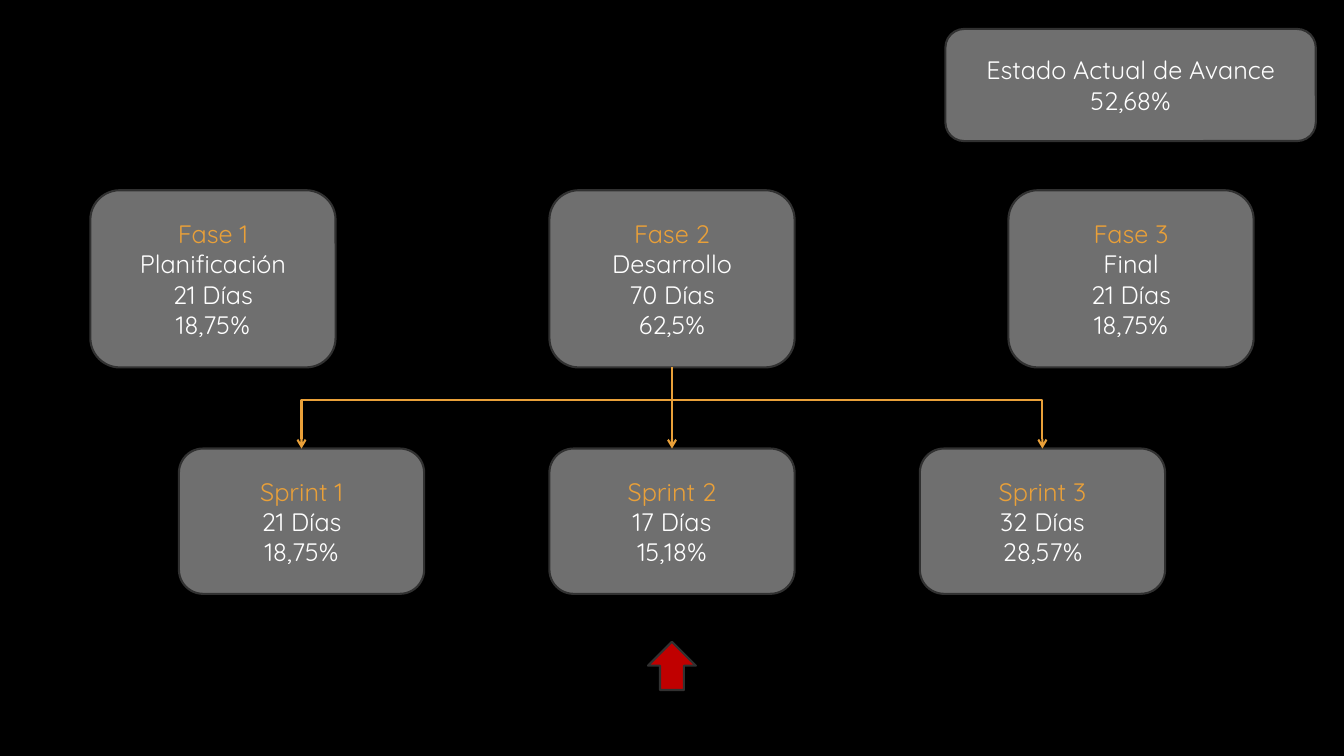
from dataclasses import dataclass

from lxml.etree import SubElement
from pptx import Presentation
from pptx.dml.color import RGBColor
from pptx.enum.shapes import MSO_CONNECTOR, MSO_SHAPE
from pptx.enum.text import MSO_ANCHOR, PP_ALIGN
from pptx.oxml.ns import qn
from pptx.util import Inches, Pt

COLUMNS, ROWS = 160, 90


@dataclass(frozen=True)
class Theme:
    background: RGBColor = RGBColor.from_string("000000")
    box: RGBColor = RGBColor.from_string("6F6F6F")
    outline: RGBColor = RGBColor.from_string("313131")
    accent: RGBColor = RGBColor.from_string("E9A039")
    text: RGBColor = RGBColor.from_string("FFFFFF")
    marker: RGBColor = RGBColor.from_string("C00000")
    font: str = "Quicksand"
    text_size: Pt = Pt(18)
    line_width: Pt = Pt(1.5)


class Board:
    def __init__(self, presentation, theme):
        self.theme = theme
        self.column = presentation.slide_width / COLUMNS
        self.row = presentation.slide_height / ROWS
        self.slide = presentation.slides.add_slide(presentation.slide_layouts[6])
        fill = self.slide.background.fill
        fill.solid()
        fill.fore_color.rgb = theme.background

    def point(self, column, row):
        return round(column * self.column), round(row * self.row)

    def shape(self, kind, center, top, width, height, color):
        shape = self.slide.shapes.add_shape(
            kind, *self.point(center - width / 2, top), *self.point(width, height))
        shape.shadow.inherit = False
        shape.fill.solid()
        shape.fill.fore_color.rgb = color
        shape.line.color.rgb = self.theme.outline
        shape.line.width = self.theme.line_width
        return shape

    def card(self, center, top, width, height, lines, title=None):
        shape = self.shape(MSO_SHAPE.ROUNDED_RECTANGLE, center, top, width, height,
                           self.theme.box)
        frame = shape.text_frame
        frame.word_wrap = True
        frame.vertical_anchor = MSO_ANCHOR.MIDDLE
        entries = [(line, self.theme.text) for line in lines]
        if title:
            entries.insert(0, (title, self.theme.accent))
        for index, (words, color) in enumerate(entries):
            paragraph = frame.add_paragraph() if index else frame.paragraphs[0]
            paragraph.alignment = PP_ALIGN.CENTER
            run = paragraph.add_run()
            run.text = words
            run.font.name = self.theme.font
            run.font.size = self.theme.text_size
            run.font.color.rgb = color

    def arrow(self, start, end):
        straight = start[0] == end[0]
        kind = MSO_CONNECTOR.STRAIGHT if straight else MSO_CONNECTOR.ELBOW
        connector = self.slide.shapes.add_connector(
            kind, *self.point(*start), *self.point(*end))
        connector.line.color.rgb = self.theme.accent
        connector.line.width = self.theme.line_width
        properties = connector._element.spPr
        if not straight:
            properties.find(qn("a:prstGeom")).set("prst", "bentConnector2")
        SubElement(properties.find(qn("a:ln")), qn("a:tailEnd"), type="arrow")
        SubElement(properties, qn("a:effectLst"))


def main():
    presentation = Presentation()
    presentation.slide_width = Inches(13.33)
    presentation.slide_height = Inches(7.5)
    theme = Theme()
    board = Board(presentation, theme)

    middle = COLUMNS / 2
    card_width = 29.2
    phase_top, phase_height, phase_step = 22.65, 21.1, 54.65
    sprint_top, sprint_height, sprint_step = 53.4, 17.3, 44.1
    branch_row = 47.65

    phases = [
        ("Fase 1", "Planificación", "21 Días", "18,75%"),
        ("Fase 2", "Desarrollo", "70 Días", "62,5%"),
        ("Fase 3", "Final", "21 Días", "18,75%"),
    ]
    sprints = [
        ("Sprint 1", "21 Días", "18,75%"),
        ("Sprint 2", "17 Días", "15,18%"),
        ("Sprint 3", "32 Días", "28,57%"),
    ]

    for position, (title, *lines) in enumerate(phases, start=-1):
        board.card(middle + position * phase_step, phase_top, card_width,
                   phase_height, lines, title)

    for position, (title, *lines) in enumerate(sprints, start=-1):
        center = middle + position * sprint_step
        board.card(center, sprint_top, card_width, sprint_height, lines, title)
        start_row = branch_row if position else phase_top + phase_height
        board.arrow((middle, start_row), (center, sprint_top))

    board.shape(MSO_SHAPE.UP_ARROW, middle, 76.4, 5.7, 5.75, theme.marker)
    board.card(134.6, 3.45, 44.1, 13.35, ["Estado Actual de Avance", "52,68%"])

    presentation.save("out.pptx")


if __name__ == "__main__":
    main()
